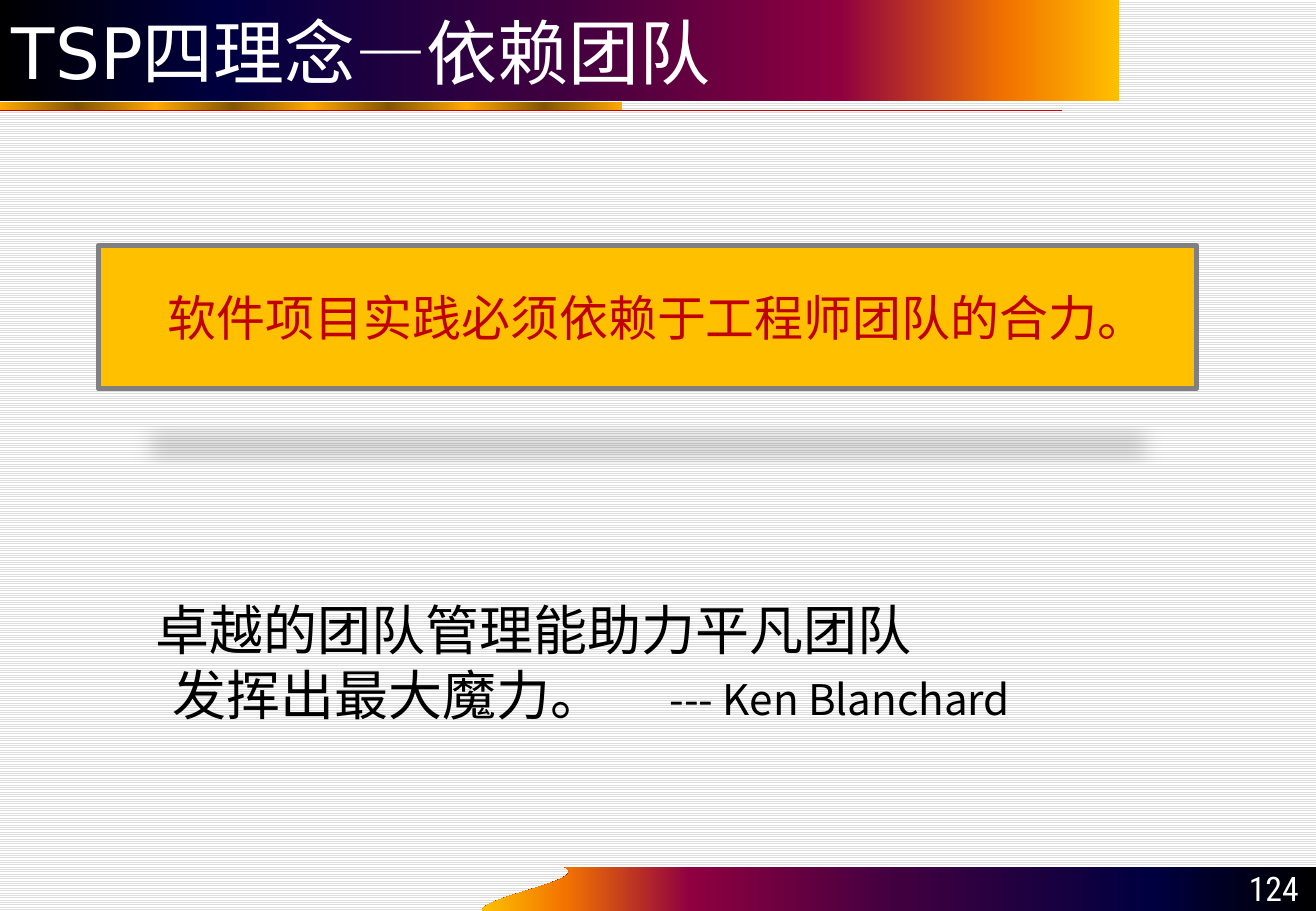
from lxml import etree
from pptx import Presentation
from pptx import util as u
from pptx.dml.color import RGBColor
from pptx.enum import dml, shapes, text
from pptx.oxml import ns

Pt = u.Pt
BLACK = RGBColor(0, 0, 0)
WHITE = RGBColor(255, 255, 255)
STRIPE = RGBColor(0xDD, 0xDD, 0xDD)
RED = RGBColor(0xCC, 0, 0)
DARK_RED = RGBColor(0xC0, 0, 0)
AMBER = RGBColor(0xFF, 0xC0, 0)
GREY = RGBColor(0x80, 0x80, 0x80)
BRONZE = RGBColor(0x82, 0x56, 0)
GOLD = RGBColor(0xFF, 0xA8, 0)
SUNSET = [(0, BLACK), (20, RGBColor(0, 0, 0x40)), (50, RGBColor(0x40, 0, 0x40)),
          (75, RGBColor(0x8F, 0, 0x40)), (90, RGBColor(0xF2, 0x73, 0)),
          (100, RGBColor(0xFF, 0xBF, 0))]
GILT = [(12.5 * i, BRONZE if i % 2 else GOLD) for i in range(9)]
CJK = "Noto Sans CJK SC"


def add_node(parent, tag, **attributes):
    node = etree.SubElement(parent, ns.qn(tag))
    for name, value in attributes.items():
        node.set(name, str(value))
    return node


def paint_gradient(shape, stops, angle=0):
    shape.shadow.inherit = False
    shape.line.fill.background()
    shape.fill.gradient()
    shape.fill.gradient_angle = angle
    stop_list = shape._element.spPr.find(ns.qn("a:gradFill")).find(ns.qn("a:gsLst"))
    for old in list(stop_list):
        stop_list.remove(old)
    for position, color in stops:
        stop = add_node(stop_list, "a:gs", pos=int(position * 1000))
        add_node(stop, "a:srgbClr", val=color)


def add_span(para, words, size, color, font):
    span = para.add_run()
    span.text = words
    span.font.size = Pt(size)
    span.font.color.rgb = color
    span.font.name = font
    add_node(span._r.get_or_add_rPr(), "a:ea", typeface=CJK)


def add_box(page, left, top, width, height, anchor):
    box = page.shapes.add_textbox(Pt(left), Pt(top), Pt(width), Pt(height))
    box.text_frame.word_wrap = True
    box.text_frame.vertical_anchor = anchor
    return box


def add_rectangle(page, left, top, width, height):
    return page.shapes.add_shape(shapes.MSO_SHAPE.RECTANGLE,
                                 Pt(left), Pt(top), Pt(width), Pt(height))


def draw_header(page, left, top, width, height):
    strip = add_rectangle(page, left, top + height, 368.6, 4.8)
    paint_gradient(strip, GILT)
    rule_y = Pt(top + height + 5.5)
    rule = page.shapes.add_connector(shapes.MSO_CONNECTOR.STRAIGHT,
                                     Pt(left), rule_y, Pt(left + 629.3), rule_y)
    rule.line.color.rgb = RED
    rule.line.width = Pt(0.75)
    add_node(rule._element.spPr, "a:effectLst")
    banner = add_rectangle(page, left, top, width, height)
    paint_gradient(banner, SUNSET)
    banner.text_frame.vertical_anchor = text.MSO_ANCHOR.MIDDLE
    para = banner.text_frame.paragraphs[0]
    para.alignment = text.PP_ALIGN.LEFT
    add_span(para, "TSP四理念—依赖团队", 42, WHITE, "DejaVu Sans")


def draw_footer(page, left, top, width, height):
    right, bottom = left + width, top + height
    curve = [(left, bottom), (left, top + 17.3),
             (left + 64.8, top + 7.9), (left + 49, top)]
    wave = []
    for step in range(25):
        t = step / 24
        weights = [(1 - t) ** 3, 3 * t * (1 - t) ** 2, 3 * t * t * (1 - t), t ** 3]
        wave.append(tuple(Pt(sum(w * point[axis] for w, point in zip(weights, curve)))
                          for axis in (0, 1)))
    builder = page.shapes.build_freeform(Pt(right), Pt(bottom))
    builder.add_line_segments(wave + [(Pt(right), Pt(top))], close=True)
    paint_gradient(builder.convert_to_shape(), SUNSET, 180)
    box = add_box(page, right - 72.2, top - 0.7, 69.1, 28.8, text.MSO_ANCHOR.BOTTOM)
    para = box.text_frame.paragraphs[0]
    para.alignment = text.PP_ALIGN.RIGHT
    add_span(para, "124", 20, WHITE, "Roboto Condensed")


def draw_statement(page, left, top, width, height):
    panel = add_rectangle(page, left, top, width, height)
    panel.fill.solid()
    panel.fill.fore_color.rgb = AMBER
    panel.line.color.rgb = GREY
    panel.line.width = Pt(3)
    panel.shadow.inherit = False
    effects = panel._element.spPr.find(ns.qn("a:effectLst"))
    shadow = add_node(effects, "a:outerShdw", blurRad=Pt(12), dist=Pt(25),
                      dir=5400000, sx=90000, sy=-19000, rotWithShape=0)
    add_node(add_node(shadow, "a:srgbClr", val=BLACK), "a:alpha", val=15000)
    panel.text_frame.word_wrap = True
    panel.text_frame.vertical_anchor = text.MSO_ANCHOR.MIDDLE
    para = panel.text_frame.paragraphs[0]
    para.alignment = text.PP_ALIGN.CENTER
    para._p.get_or_add_pPr().set("marL", str(Pt(12)))
    add_span(para, "软件项目实践必须依赖于工程师团队的合力。", 29, DARK_RED, "DejaVu Sans")


def draw_quote(page, left, top, width, height):
    frame = add_box(page, left, top, width, height, text.MSO_ANCHOR.TOP).text_frame
    first, second = frame.paragraphs[0], frame.add_paragraph()
    settings = second._p.get_or_add_pPr()
    settings.set("marL", str(Pt(10)))
    add_node(add_node(settings, "a:tabLst"), "a:tab", pos=Pt(294.6), algn="l")
    first.line_spacing = second.line_spacing = Pt(39)
    add_span(first, "卓越的团队管理能助力平凡团队", 32, BLACK, CJK)
    add_span(second, "发挥出最大魔力。\t", 32, BLACK, CJK)
    add_span(second, "--- Ken Blanchard", 25, BLACK, CJK)


def main():
    deck = Presentation()
    deck.slide_width, deck.slide_height = Pt(780), Pt(540)
    page = deck.slides.add_slide(deck.slide_layouts[6])
    backdrop = page.background.fill
    backdrop.patterned()
    backdrop.pattern = dml.MSO_PATTERN.LIGHT_HORIZONTAL
    backdrop.fore_color.rgb = STRIPE
    backdrop.back_color.rgb = WHITE
    draw_footer(page, 285.8, 514, 494.2, 26)
    draw_header(page, 0, 0, 663.1, 60.2)
    draw_quote(page, 85.2, 349.2, 645.6, 141.8)
    draw_statement(page, 58.3, 145.4, 650.9, 85)
    deck.save("out.pptx")


if __name__ == "__main__":
    main()
